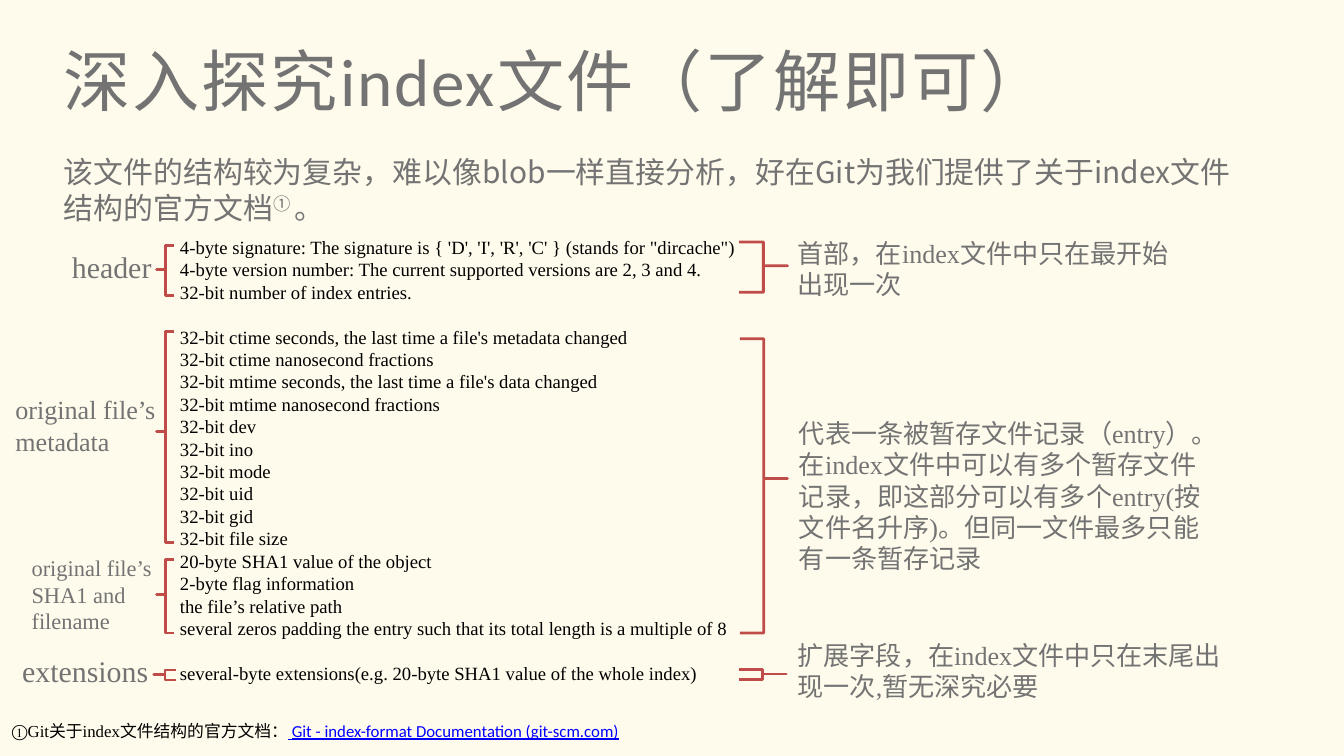
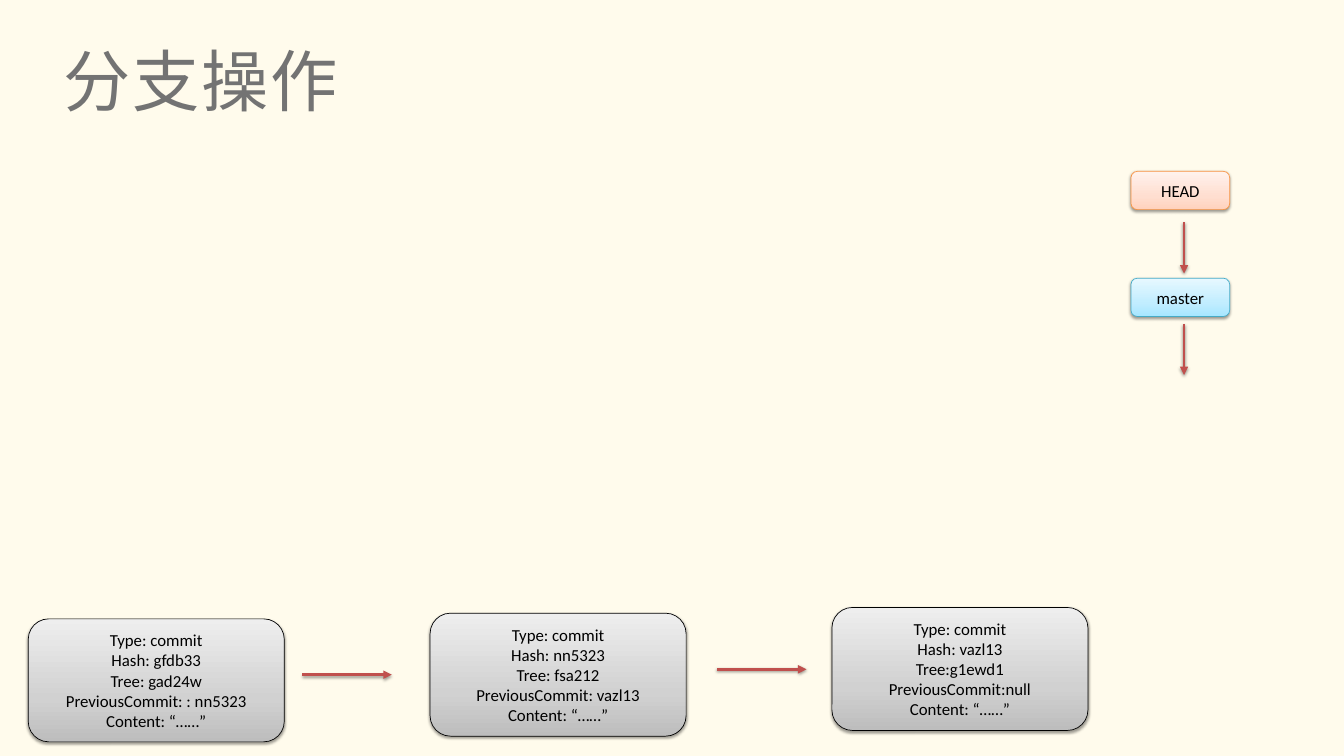
from copy import deepcopy
from lxml import etree
from pptx import Presentation
from pptx import util as u
from pptx.dml.color import RGBColor
from pptx.enum import shapes, text
from pptx.oxml import ns

WIDTH, HEIGHT = 20, 11.25
PAPER, GREY, BLACK, LINK = "FFFBEC", "737373", "000000", "0000FF"
BRACE, ARROW = "BF4C48", "C0504D"
SERIF, SANS, CJK = "Times New Roman", "Calibri", "Noto Sans CJK SC"

INDEX_TITLE = "深入探究index文件（了解即可）"
INTRO = [
    ("该文件的结构较为复杂，难以像blob一样直接分析，好在Git为我们提供了关于index文件结构的官方文档", {}),
    ("① ", {"base": 30}),
    ("。", {}),
]
FOOTNOTE = [
    ("①Git关于index文件结构的官方文档：", {}),
    (" Git - index-format Documentation (git-scm.com)",
     {"font": SANS, "color": LINK, "underline": True}),
]
RECORDS = [
    [
        "4-byte signature: The signature is { 'D', 'I', 'R', 'C' } (stands for \"dircache\")",
        "4-byte version number: The current supported versions are 2, 3 and 4.",
        "32-bit number of index entries.",
    ],
    [
        "32-bit ctime seconds, the last time a file's metadata changed",
        "32-bit ctime nanosecond fractions",
        "32-bit mtime seconds, the last time a file's data changed",
        "32-bit mtime nanosecond fractions",
        "32-bit dev",
        "32-bit ino",
        "32-bit mode",
        "32-bit uid",
        "32-bit gid",
        "32-bit file size",
        "20-byte SHA1 value of the object",
        "2-byte flag information",
        "the file’s relative path",
        "several zeros padding the entry such that its total length is a multiple of 8",
    ],
    ["several-byte extensions(e.g. 20-byte SHA1 value of the whole index)"],
]
PART_LABELS = [
    ("header", 32, (1.07, 3.7, 1.26, 0.54)),
    ("original file’s metadata", 28, (0.23, 5.86, 2.1, 0.94)),
    ("original file’s SHA1 and filename", 24, (0.47, 8.24, 2.1, 1.21)),
    ("extensions", 32, (0.33, 9.71, 1.91, 0.54)),
]
MEANINGS = [
    ("首部，在index文件中只在最开始出现一次", (11.87, 3.53, 5.71, 0.94)),
    ("代表一条被暂存文件记录（entry）。在index文件中可以有多个暂存文件记录，即这部分可以有多个entry(按文件名升序)。但同一文件最多只能有一条暂存记录",
     (11.89, 6.21, 6.03, 2.36)),
    ("扩展字段，在index文件中只在末尾出现一次,暂无深究必要", (11.87, 9.51, 6.31, 0.94)),
]
PART_BRACES = [(2.33, 3.65, 0.26, 0.75), (2.33, 4.93, 0.26, 3.14),
               (2.33, 8.33, 0.26, 1.09), (2.29, 9.97, 0.33, 0.15)]
MEANING_BRACES = [(11, 3.6, 0.72, 0.75), (11.01, 5.04, 0.71, 4.38),
                  (10.99, 9.96, 0.71, 0.15)]

BRANCH_TITLE = "分支操作"
COMMITS = [
    ["Hash: gfdb33", "Tree: gad24w", "PreviousCommit: : nn5323"],
    ["Hash: nn5323", "Tree: fsa212", "PreviousCommit: vazl13"],
    ["Hash: vazl13", "Tree:g1ewd1", "PreviousCommit:null"],
]
COMMIT_LEFT, COMMIT_TOP, COMMIT_SIZE = 0.42, 9.21, (3.81, 1.83)
COMMIT_STEP, COMMIT_RISE = 5.98, 0.085
COMMIT_FILL = ["BDBDBD", "D1D1D1", "EEEEEE"]
REFS = [
    ("HEAD", 2.55, ["FFD2BD", "FFDED0", "FFF2ED"], "F69240"),
    ("master", 4.14, ["A7E6FF", "C1EDFF", "E7F8FF"], "46AAC5"),
]
REF_LEFT, REF_SIZE = 16.83, (1.47, 0.57)
ARROWS = [
    (4.5, 10.04, 5.83, 10.04),
    (10.67, 9.96, 12, 9.96),
    (17.62, 3.31, 17.62, 4.07),
    (17.62, 4.82, 17.62, 5.58),
]


def rgb(code):
    return RGBColor.from_string(code)


def inches(box):
    return [u.Inches(length) for length in box]


def child(parent, tag, **attributes):
    element = etree.SubElement(parent, ns.qn(tag))
    for name, value in attributes.items():
        element.set(name, str(value))
    return element


def add_run(paragraph, words, size, font, color, underline=False, base=0, spacing=0):
    run = paragraph.add_run()
    run.text = words
    run.font.size = u.Pt(size)
    run.font.name = font
    run.font.color.rgb = rgb(color)
    if underline:
        run.font.underline = True
    properties = run.font._element
    if base:
        properties.set("baseline", str(base * 1000))
    if spacing:
        properties.set("spc", str(spacing * 100))
    east_asian = etree.Element(ns.qn("a:ea"), typeface=CJK)
    properties.find(ns.qn("a:latin")).addnext(east_asian)


def write(frame, paragraphs, align=None, leading=None, gaps=(), **style):
    frame.word_wrap = True
    for row, content in enumerate(paragraphs):
        paragraph = frame.add_paragraph() if row else frame.paragraphs[0]
        if align:
            paragraph.alignment = align
        if leading:
            paragraph.line_spacing = u.Pt(leading)
        if row in gaps:
            paragraph.space_before = u.Pt(leading)
        runs = [(content, {})] if isinstance(content, str) else content
        for words, changes in runs:
            add_run(paragraph, words, **{**style, **changes})


def add_text(slide, box, paragraphs, inset=False, **style):
    frame = slide.shapes.add_textbox(*inches(box)).text_frame
    if not inset:
        frame.margin_left = frame.margin_right = 0
        frame.margin_top = frame.margin_bottom = 0
    write(frame, paragraphs, **style)
    frame.auto_size = text.MSO_AUTO_SIZE.SHAPE_TO_FIT_TEXT


def add_brace(slide, box, mirrored=False):
    brace = slide.shapes.add_shape(shapes.MSO_SHAPE.LEFT_BRACE, *inches(box))
    brace.adjustments[0], brace.adjustments[1] = 0, 0.475
    brace.fill.background()
    brace.line.color.rgb = rgb(BRACE)
    brace.line.width = u.Pt(3)
    brace.shadow.inherit = False
    if mirrored:
        brace._element.spPr.find(ns.qn("a:xfrm")).set("flipH", "1")


def drop_shadow(part):
    effects = child(part._element.spPr, "a:effectLst")
    shadow = child(effects, "a:outerShdw", blurRad=u.Pt(3.1), dist=u.Pt(1.6),
                   dir=90 * 60000, rotWithShape=0)
    black = child(shadow, "a:srgbClr", val=BLACK)
    child(black, "a:alpha", val=38000)


def add_card(slide, box, lines, shades, outline):
    card = slide.shapes.add_shape(shapes.MSO_SHAPE.ROUNDED_RECTANGLE, *inches(box))
    card.fill.gradient()
    card.fill.gradient_angle = 90
    stops = card._element.spPr.find(ns.qn("a:gradFill")).find(ns.qn("a:gsLst"))
    stops.append(deepcopy(stops[0]))
    for stop, shade, position in zip(card.fill.gradient_stops, shades, (0, 0.35, 1)):
        stop.color.rgb = rgb(shade)
        stop.position = position
    card.line.color.rgb = rgb(outline)
    card.line.width = u.Pt(0.75)
    drop_shadow(card)
    card.text_frame.vertical_anchor = text.MSO_ANCHOR.MIDDLE
    write(card.text_frame, lines, align=text.PP_ALIGN.CENTER,
          size=18, font=SANS, color=BLACK)


def add_arrow(slide, ends):
    arrow = slide.shapes.add_connector(shapes.MSO_CONNECTOR.STRAIGHT, *inches(ends))
    arrow.line.color.rgb = rgb(ARROW)
    arrow.line.width = u.Pt(3)
    child(arrow.line._get_or_add_ln(), "a:tailEnd", type="triangle")
    drop_shadow(arrow)


def add_slide(deck, title):
    slide = deck.slides.add_slide(deck.slide_layouts[6])
    slide.background.fill.solid()
    slide.background.fill.fore_color.rgb = rgb(PAPER)
    add_text(slide, (0.95, 0.38, 17.2, 1.34), [title], leading=100.8,
             size=72, font=SANS, color=GREY, spacing=2)
    return slide


def build_index(deck):
    slide = add_slide(deck, INDEX_TITLE)
    add_text(slide, (0.95, 2.29, 17.55, 1.08), [INTRO], size=32, font=CJK, color=GREY)
    add_text(slide, (0.08, 10.67, 16.67, 0.4), [FOOTNOTE], inset=True,
             size=18, font=SERIF, color=BLACK)
    lines = [line for group in RECORDS for line in group]
    gaps = [len(RECORDS[0]), len(RECORDS[0]) + len(RECORDS[1])]
    add_text(slide, (2.58, 3.46, 9.5, 7.51), lines, inset=True, leading=24,
             gaps=gaps, size=20, font=SERIF, color=BLACK)
    for label, size, box in PART_LABELS:
        add_text(slide, box, [label], size=size, font=SERIF, color=GREY)
    for meaning, box in MEANINGS:
        add_text(slide, box, [meaning], size=28, font=SERIF, color=GREY)
    for box in PART_BRACES:
        add_brace(slide, box)
    for box in MEANING_BRACES:
        add_brace(slide, box, mirrored=True)


def build_branches(deck):
    slide = add_slide(deck, BRANCH_TITLE)
    for column, fields in enumerate(COMMITS):
        corner = (COMMIT_LEFT + column * COMMIT_STEP, COMMIT_TOP - column * COMMIT_RISE)
        lines = ["Type: commit", *fields, "Content: “……”"]
        add_card(slide, corner + COMMIT_SIZE, lines, COMMIT_FILL, BLACK)
    for name, top, shades, outline in REFS:
        add_card(slide, (REF_LEFT, top) + REF_SIZE, [name], shades, outline)
    for ends in ARROWS:
        add_arrow(slide, ends)


def main():
    deck = Presentation()
    deck.slide_width, deck.slide_height = inches((WIDTH, HEIGHT))
    build_index(deck)
    build_branches(deck)
    deck.save("out.pptx")


if __name__ == "__main__":
    main()
